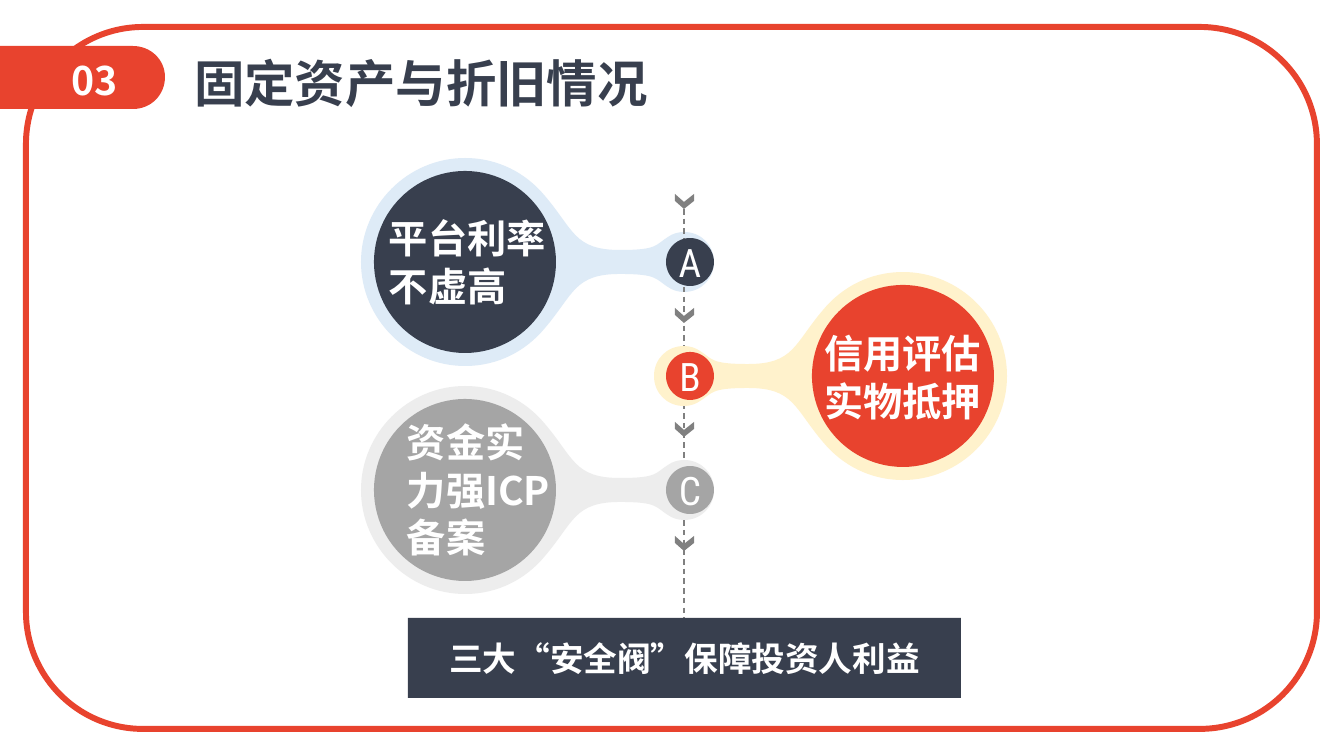
from lxml import etree
from pptx import Presentation
from pptx.dml.color import RGBColor
from pptx.enum.dml import MSO_LINE
from pptx.enum.shapes import MSO_CONNECTOR, MSO_SHAPE
from pptx.enum.text import MSO_ANCHOR, MSO_AUTO_SIZE, PP_ALIGN
from pptx.oxml.ns import qn
from pptx.util import Pt

PX = 9071  # EMU per px
COLORS = {"red": "E8432E", "navy": "383F4E", "gray": "A5A5A5", "white": "FFFFFF",
          "line": "808080", "pale blue": "DEEBF7", "pale gray": "EDEDED",
          "pale yellow": "FFF2CC"}
RGB = {name: RGBColor.from_string(value) for name, value in COLORS.items()}
CJK, LATIN = "Noto Sans CJK SC", "Roboto Condensed"
AXIS_X, FIRST_Y, STEP = 684, 262, 114

prs = Presentation()
prs.slide_width, prs.slide_height = 1344 * PX, 756 * PX
slide = prs.slides.add_slide(prs.slide_layouts[5])
shapes = slide.shapes


def draw_outline(points, color, curves=()):
    """Draw a closed outline; each index in curves joins three segments into a cubic curve."""
    builder = shapes.build_freeform(*points[0], scale=PX)
    builder.add_line_segments(points[1:], close=True)
    sp = builder.convert_to_shape()
    segments = list(sp._element.iter(qn("a:lnTo")))
    for i in curves:
        curve = etree.Element(qn("a:cubicBezTo"))
        segments[i].addprevious(curve)
        for segment in segments[i:i + 3]:
            curve.append(segment[0])
            segment.getparent().remove(segment)
    solids.append((sp, color))


solids = []  # (shape, fill colour)
texts = []   # (shape, text, font, size, colour, bold, alignment, line spacing)

# Section tab, frame and title
tab = [(0, 46), (133, 46), (151, 46), (165, 60), (165, 77),
       (165, 95), (151, 109), (133, 109), (0, 109)]
draw_outline(tab, "red", curves=(1, 4))
number = shapes.add_textbox(62 * PX, 51 * PX, 103 * PX, 57 * PX)
texts.append((number, "03", CJK, 28, "white", True, PP_ALIGN.LEFT, None))

frame = shapes.add_shape(MSO_SHAPE.ROUNDED_RECTANGLE, 26 * PX, 27 * PX, 1291 * PX, 702 * PX)
frame.fill.background()
frame.line.color.rgb = RGB["red"]
frame.line.width = Pt(4.25)
frame.shadow.inherit = False

title = shapes.title
title.left, title.top, title.width, title.height = 184 * PX, 46 * PX, 474 * PX, 72 * PX
texts.append((title, "固定资产与折旧情况", CJK, 36, "navy", True, PP_ALIGN.LEFT, None))

# Upper half of a link, from the hub's outer edge to the far side of the big circle
half = [(-30, 0),
        (-30, -17), (-17, -30), (0, -30),
        (6, -30), (12, -28), (16, -25),
        (29, -17), (26, -12), (64, -12),
        (110, -12), (110, -32), (139, -66),
        (158, -89), (186, -104), (219, -104),
        (276, -104), (323, -57), (323, 0)]
link = half + [(x, -y) for x, y in half[-2::-1]]

# letter, side, fill, halo, label, label left, label top, label width, label height
nodes = [
    ("A", -1, "navy", "pale blue", "平台利率不虚高", 389, 214, 167, 95),
    ("B", 1, "red", "pale yellow", "信用评估\n实物抵押", 824, 329, 171, 95),
    ("C", -1, "gray", "pale gray", "资金实\n力强ICP\n备案", 407, 418, 196, 142),
]
for i, (letter, side, fill, halo, label, left, top, width, height) in enumerate(nodes):
    y = FIRST_Y + i * STEP
    draw_outline([(AXIS_X + side * dx, y + dy) for dx, dy in link], halo,
                 curves=range(0, len(link) - 1, 3))

    if i == 0:  # the axis lies over the first halo and under the others
        axis = shapes.add_connector(MSO_CONNECTOR.STRAIGHT, AXIS_X * PX, 209 * PX,
                                    AXIS_X * PX, 658 * PX)
        axis.line.color.rgb = RGB["line"]
        axis.line.width = Pt(1)
        axis.line.dash_style = MSO_LINE.DASH
        etree.SubElement(axis._element.spPr, qn("a:effectLst"))
        for k in range(4):
            arrow_y = 194 + k * STEP
            draw_outline([(AXIS_X + dx, arrow_y + dy) for dx, dy in
                          [(0, 8), (-9, 0), (-9, 7), (0, 15), (10, 7), (10, 0)]], "line")

    disc = shapes.add_shape(MSO_SHAPE.OVAL, (AXIS_X + side * 219 - 91) * PX, (y - 91) * PX,
                            182 * PX, 182 * PX)
    hub = shapes.add_shape(MSO_SHAPE.OVAL, 666 * PX, (y - 24) * PX, 48 * PX, 48 * PX)
    box = shapes.add_textbox(left * PX, top * PX, width * PX, height * PX)
    solids += [(disc, fill), (hub, fill)]
    texts += [(hub, letter, LATIN, 28, "white", False, PP_ALIGN.CENTER, None),
              (box, label, CJK, 28, "white", True, PP_ALIGN.LEFT, Pt(34))]
    for sp in (hub, box):
        tf = sp.text_frame
        tf.margin_left = tf.margin_top = tf.margin_right = tf.margin_bottom = 0

bar = shapes.add_shape(MSO_SHAPE.RECTANGLE, 408 * PX, 618 * PX, 553 * PX, 80 * PX)
solids.append((bar, "navy"))
texts.append((bar, "三大“安全阀”保障投资人利益", CJK, 24, "white", True, PP_ALIGN.CENTER, None))

for sp, color in solids:
    sp.fill.solid()
    sp.fill.fore_color.rgb = RGB[color]
    sp.line.fill.background()
    sp.shadow.inherit = False

for sp, text, font, size, color, bold, align, spacing in texts:
    tf = sp.text_frame
    tf.text = text
    tf.auto_size = MSO_AUTO_SIZE.NONE
    tf.word_wrap = sp not in (title, bar)
    tf.vertical_anchor = MSO_ANCHOR.TOP if spacing else MSO_ANCHOR.MIDDLE
    for p in tf.paragraphs:
        p.alignment = align
        p.line_spacing = spacing
        for r in p.runs:
            r.font.name, r.font.size, r.font.bold = font, Pt(size), bold
            r.font.color.rgb = RGB[color]
            etree.SubElement(r.font._element, qn("a:ea"), typeface=font)

prs.save("out.pptx")
